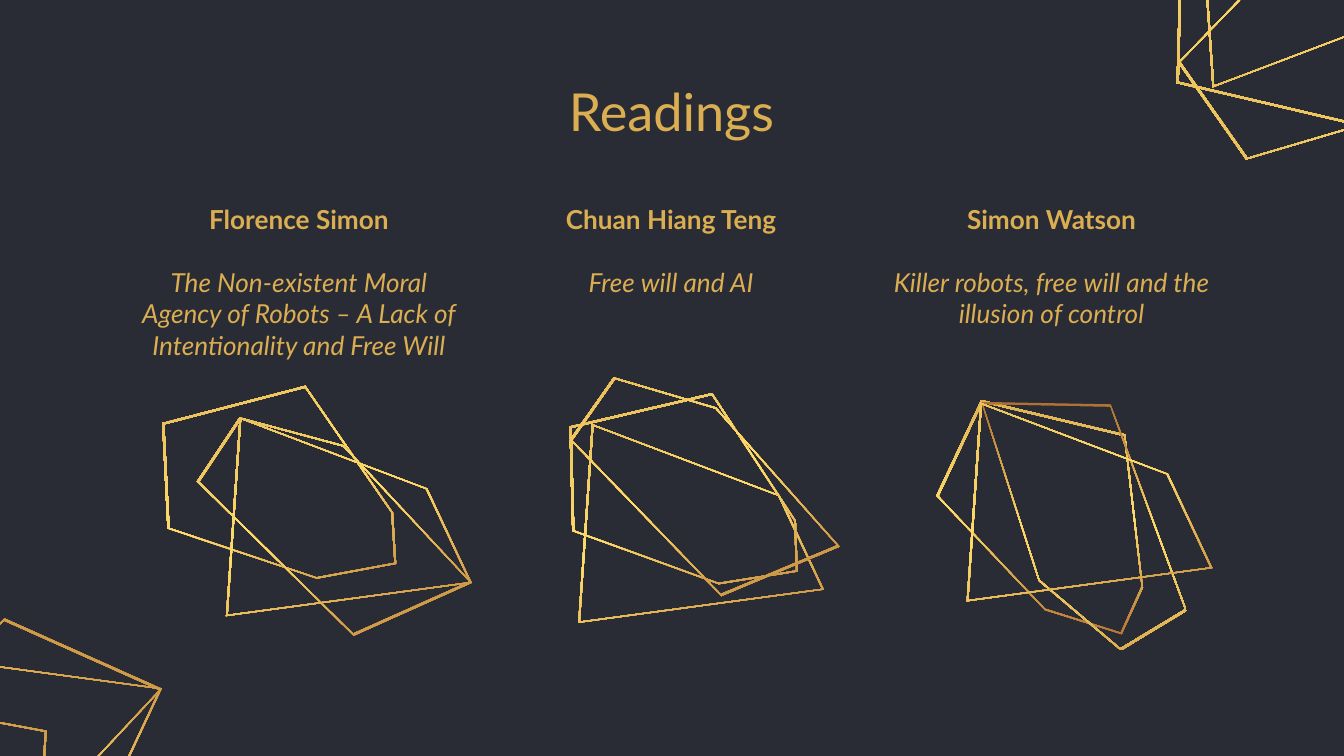
from copy import deepcopy
from math import cos, radians, sin
from pptx import Presentation
from pptx.dml.color import RGBColor as RGB
from pptx.enum.text import MSO_ANCHOR as Anchor, PP_ALIGN as Align
from pptx.util import Pt

GOLD = "DCAE52"


def paint(target, color):
    target.rgb = RGB.from_string(color)


def write(para, text, size, bold=False, italic=False):
    para.alignment = Align.CENTER
    run = para.add_run()
    run.text = text
    font = run.font
    font.name, font.size = "Lato", Pt(size)
    font.bold, font.italic = bold, italic
    paint(font.color, GOLD)


deck = Presentation()
deck.slide_width, deck.slide_height = Pt(720), Pt(405)
slide = deck.slides.add_slide(deck.slide_layouts[6])
back = slide.background.fill
back.solid()
paint(back.fore_color, "292C35")

forms = {
    "hex": [(0.81, 1), (1, 0.57), (0.46, 0.09), (0.09, 0), (0, 0.21), (0.12, 0.88)],
    "pent": [(0.68, 1), (1, 0.84), (0.63, 0.01), (0, 0), (0.28, 0.72)],
    "quad": [(0.59, 1), (1, 0.3), (0, 0), (0, 0.42)],
}
sizes = {"hex": (113, 121.7), "pent": (110.2, 133.2), "quad": (126.7, 133.2)}

gems = [
    ("quad", 709.9, -39.6, 25.2, 1.56, True),
    ("hex", -65.2, 438.5, 25.2, 1.33, True),
    ("pent", -17.3, 418, 25.2, 1.33, True),
    ("quad", -28.1, 413.3, 25.2, 1.34, True),
    ("hex", 717.5, -19.4, 23.8, 1.54, True),
    ("pent", 736.9, 4, 23.8, 1.54, True),
    ("hex", 144.4, 266.8, 154.8, 1, False),
    ("pent", 174.6, 275.4, 154.8, 1, False),
    ("quad", 167, 279, 154.8, 1, False),
    ("quad", 355.7, 282.6, 154.8, 1, False),
    ("hex", 361.1, 269.6, 156.2, 0.99, False),
    ("pent", 373.3, 254.5, 156.2, 0.99, False),
    ("hex", 557.6, 276.8, 182.8, 1, False),
    ("pent", 580.7, 281.9, 0, 1, False),
    ("quad", 563.8, 271.1, 154.8, 1, False),
]

for form, mid_x, mid_y, turn, scale, flip in gems:
    wide, high = (side * scale for side in sizes[form])
    sign = -1 if flip else 1
    outer = [(mid_x + sign * (u - 0.5) * wide, mid_y + (v - 0.5) * high)
             for u, v in forms[form]]
    core_x, core_y = (sum(axis) / len(outer) for axis in zip(*outer))
    shrink = 1 - 2 / wide
    inner = [(core_x + (x - core_x) * shrink, core_y + (y - core_y) * shrink)
             for x, y in outer]
    rings = [[(Pt(x), Pt(y)) for x, y in ring] for ring in (outer, inner)]
    pen = slide.shapes.build_freeform(*rings[0][0])
    pen.add_line_segments(rings[0][1:], close=True)
    pen.move_to(*rings[1][0])
    pen.add_line_segments(rings[1][1:], close=True)
    gem = pen.convert_to_shape()
    gem.rotation = turn
    gem.shadow.inherit = False
    gem.line.fill.background()
    gem.fill.gradient()
    gem.fill.gradient_angle = 270
    stops = gem._element.spPr.gradFill.gsLst
    stops.insert(1, deepcopy(stops[0]))
    shades = [(0, "AF7132"), (0.5, "FFDD6B"), (1, GOLD)]
    for stop, (place, color) in zip(gem.fill.gradient_stops, shades):
        stop.position = place
        paint(stop.color, color)

title = slide.shapes.add_textbox(Pt(157), Pt(42.5), Pt(405.4), Pt(33.8)).text_frame
title.word_wrap = True
title.vertical_anchor = Anchor.MIDDLE
write(title.paragraphs[0], "Readings", 28)

works = [
    (64.1, "Florence Simon",
     "The Non-existent Moral Agency of Robots – A Lack of Intentionality and Free Will"),
    (263.5, "Chuan Hiang Teng", "Free will and AI"),
    (467.3, "Simon Watson", "Killer robots, free will and the illusion of control"),
]
for left, name, work in works:
    frame = slide.shapes.add_textbox(Pt(left), Pt(109), Pt(192.2), Pt(95)).text_frame
    frame.word_wrap = True
    frame.margin_top = frame.margin_bottom = 0
    frame.vertical_anchor = Anchor.TOP
    head = frame.paragraphs[0]
    head.space_after = Pt(16.8)
    write(head, name, 14, bold=True)
    write(frame.add_paragraph(), work, 14, italic=True)

deck.save("out.pptx")
